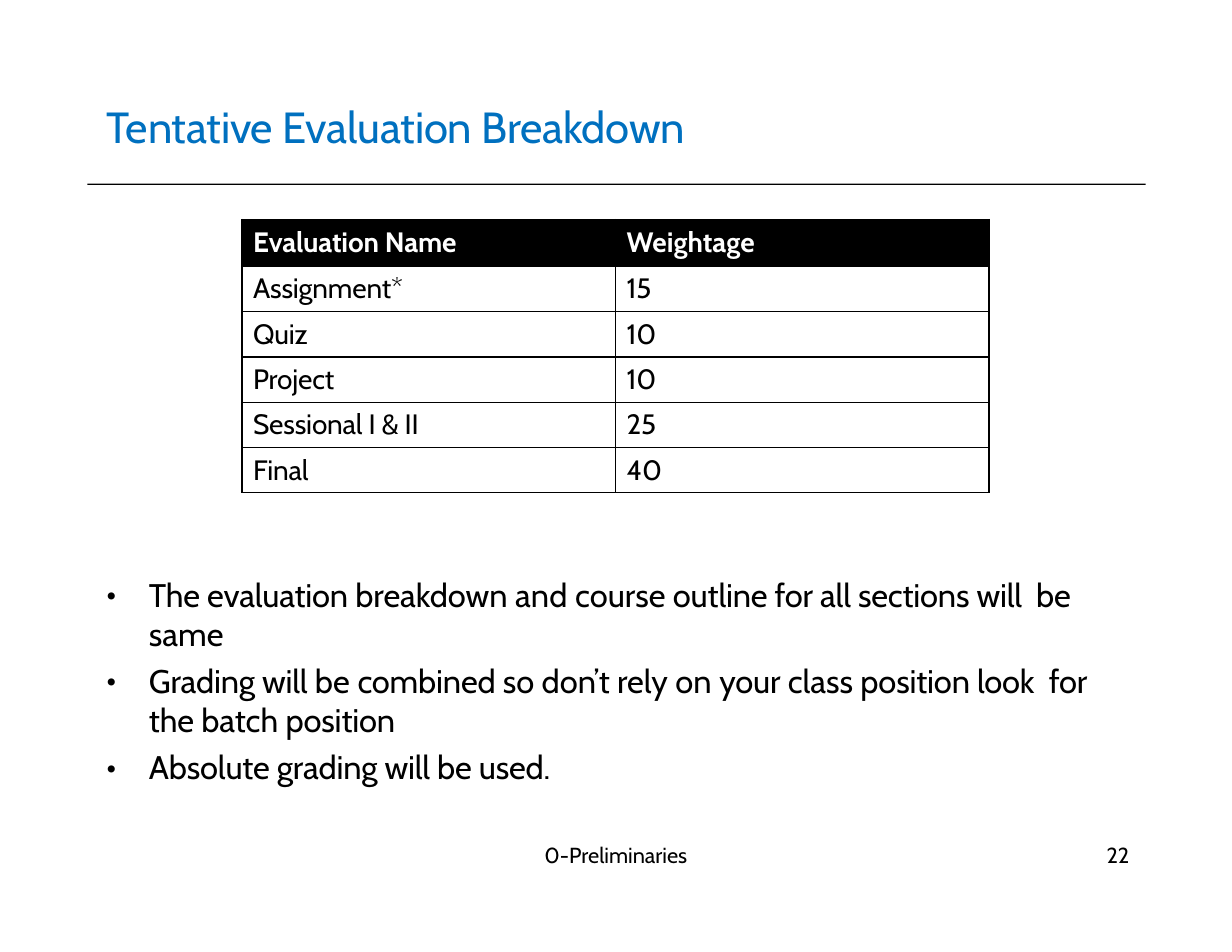
from dataclasses import dataclass

from lxml.etree import SubElement
from pptx import Presentation
from pptx.dml.color import RGBColor
from pptx.enum.shapes import MSO_SHAPE
from pptx.oxml.ns import qn
from pptx.util import Inches, Pt


@dataclass(frozen=True)
class Theme:
    font: str = "Cabin"
    blue: RGBColor = RGBColor(0x00, 0x70, 0xBF)
    black: RGBColor = RGBColor(0, 0, 0)
    white: RGBColor = RGBColor(255, 255, 255)
    title: float = 28
    body: float = 21
    table: float = 18
    footer: float = 14


theme = Theme()


def add_text(para, text, size, color, before, spacing=0, bold=False):
    """Write one run; spacing is in hundredths of a point."""
    para.space_before = Pt(before)
    span = para.add_run()
    span.text = text
    span.font.name = theme.font
    span.font.size = Pt(size)
    span.font.bold = bold
    span.font.color.rgb = color
    span.font._element.set("spc", str(spacing))


def add_box(left, top, width, height, inset, wrap=False):
    box = slide.shapes.add_textbox(Inches(left), Inches(top), Inches(width), Inches(height))
    frame = box.text_frame
    frame.margin_left = frame.margin_right = frame.margin_bottom = 0
    frame.margin_top = Inches(inset)
    frame.word_wrap = wrap
    return frame


deck = Presentation()
deck.slide_width = Inches(11)
deck.slide_height = Inches(8.5)
slide = deck.slides.add_slide(deck.slide_layouts[6])

# Rule under the title
rule = slide.shapes.add_shape(
    MSO_SHAPE.RECTANGLE, Inches(0.78), Inches(1.64), Inches(9.45), Inches(0.01))
rule.shadow.inherit = False
rule.fill.solid()
rule.fill.fore_color.rgb = theme.black
rule.line.fill.background()

# Title, footer and page number
for text, place, size, color, spacing in (
    ("Tentative Evaluation Breakdown", (0.95, 0.88, 5.55, 0.49), theme.title, theme.blue, -10),
    ("0-Preliminaries", (4.86, 7.51, 1.3, 0.26), theme.footer, theme.black, 0),
    ("22", (9.88, 7.51, 0.27, 0.26), theme.footer, theme.black, 0),
):
    frame = add_box(*place, inset=0.01)
    add_text(frame.paragraphs[0], text, size, color, 1, spacing)

# Bulleted notes: runs with their letter spacing
notes = (
    (("The evaluation ", -10), ("breakdown ", 0), ("and ", 10), ("course ", 0),
     ("outline for all sections will  be ", -10), ("same", 0)),
    (("Grading will ", -10), ("be ", 10), ("combined ", -10), ("so don’t rely ", 0),
     ("on ", 10), ("your ", -10), ("class ", 0), ("position look  for the", -10),
     (" batch ", 0), ("position", -10)),
    (("Absolute grading will be used.", -10),),
)
frame = add_box(0.94, 5.05, 8.83, 1.99, inset=0.08, wrap=True)
for index, note in enumerate(notes):
    para = frame.add_paragraph() if index else frame.paragraphs[0]
    for text, spacing in note:
        add_text(para, text, theme.body, theme.black, 5, spacing)
    properties = para._p.get_or_add_pPr()
    properties.set("marL", str(Inches(0.39)))
    properties.set("indent", str(Inches(-0.38)))
    SubElement(properties, qn("a:buFont"), typeface=theme.font)
    SubElement(properties, qn("a:buChar"), char="•")

# Evaluation table
rows = (
    ("Evaluation Name", "Weightage"),
    ("Assignment*", "15"),
    ("Quiz", "10"),
    ("Project", "10"),
    ("Sessional I & II", "25"),
    ("Final", "40"),
)
table = slide.shapes.add_table(
    len(rows), 2, Inches(2.16), Inches(1.96), Inches(6.67), Inches(2.44)).table
table.horz_banding = False
for row_index, row in enumerate(rows):
    header = row_index == 0
    table.rows[row_index].height = Inches(0.42 if header else 0.404)
    for column_index, text in enumerate(row):
        cell = table.cell(row_index, column_index)
        cell.margin_left = Inches(0.1)
        cell.margin_right = cell.margin_bottom = 0
        cell.margin_top = Inches(0.05 if row_index != 1 else 0.04)
        for side in ("a:lnL", "a:lnR", "a:lnT", "a:lnB"):
            border = SubElement(cell._tc.get_or_add_tcPr(), qn(side), w=str(Pt(1)))
            paint = SubElement(border, qn("a:solidFill"))
            SubElement(paint, qn("a:srgbClr"), val=str(theme.black))
        cell.fill.solid()
        cell.fill.fore_color.rgb = theme.black if header else theme.white
        add_text(cell.text_frame.paragraphs[0], text, theme.table,
                 theme.white if header else theme.black,
                 4 if header else 3.4, 0 if column_index else -10, header)

deck.save("out.pptx")
